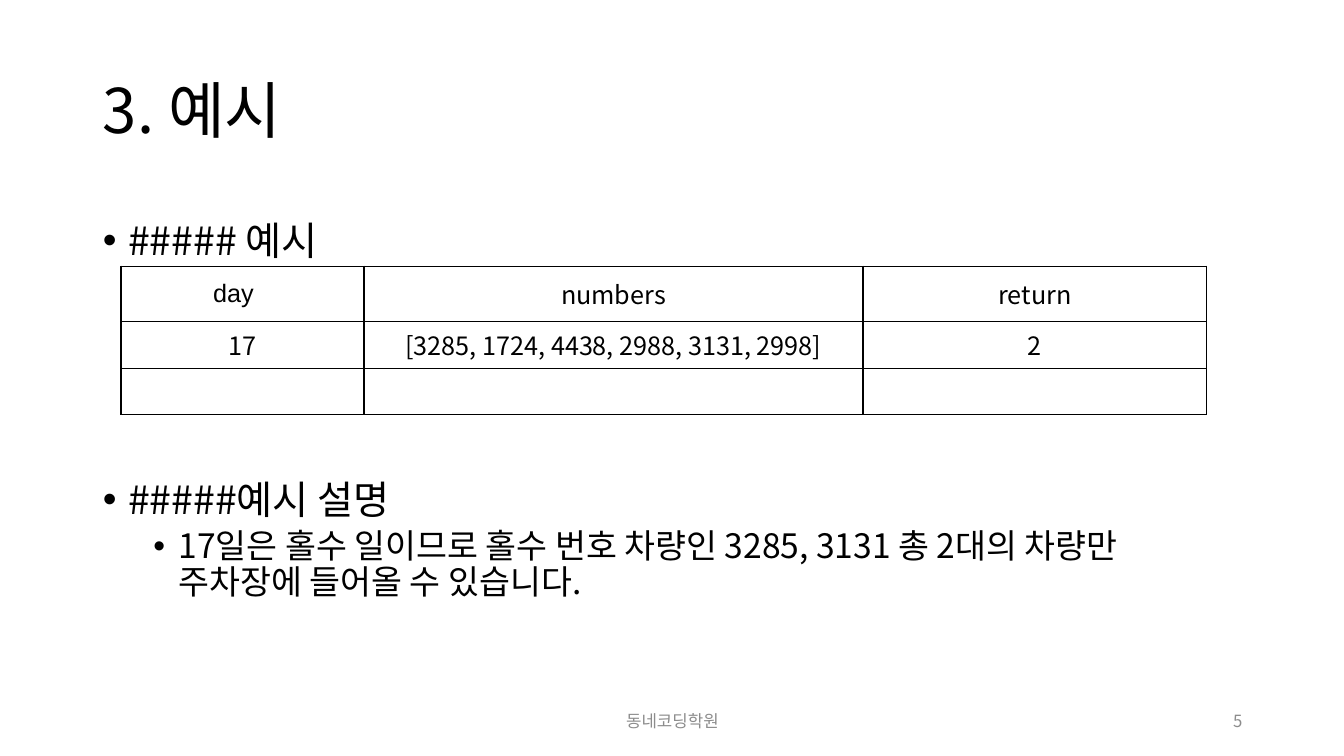
"""Build the example slide with its value table and explanation."""
from lxml.etree import SubElement
from pptx import Presentation
from pptx.dml.color import RGBColor
from pptx.enum.text import MSO_ANCHOR, MSO_AUTO_SIZE, PP_ALIGN
from pptx.oxml.ns import qn
from pptx.util import Inches, Pt

COLORS = {"text": "000000", "border": "000000", "footer": "8C8C8C"}
SANS = "Noto Sans CJK KR"
TITLE = "3. 예시"
BULLETS = [
    {"text": "##### 예시", "level": 0, "size": 28, "line": 1.2, "before": 0, "left": 0.25},
    {"text": "#####예시 설명", "level": 0, "size": 28, "line": 0.9, "before": 155, "left": 0.25},
    {"text": "17일은 홀수 일이므로 홀수 번호 차량인 3285, 3131 총 2대의 차량만 주차장에 들어올 수 있습니다.",
     "level": 1, "size": 24, "line": 0.9, "before": 5, "left": 0.75},
]
EXAMPLES = [
    ["day", "numbers", "return"],
    ["17", "[3285, 1724, 4438, 2988, 3131, 2998]", "2"],
    ["", "", ""],
]
COLUMN_WIDTHS = [2.41, 4.95, 3.41]
ROW_HEIGHTS = [0.55, 0.46, 0.46]
FOOTERS = [
    ("동네코딩학원", (4.42, 6.95, 4.5, 0.4), PP_ALIGN.CENTER),
    ("5", (9.42, 6.95, 3, 0.4), PP_ALIGN.RIGHT),
]


def apply(target, values):
    for name, value in values.items():
        setattr(target, name, value)


def place(shape, box):
    apply(shape, dict(zip(("left", "top", "width", "height"), map(Inches, box))))


def write(paragraph, text, size, color="text", face=SANS, **layout):
    apply(paragraph, layout)
    run = paragraph.add_run()
    run.text = text
    apply(run.font, {"size": Pt(size), "name": face})
    run.font.color.rgb = RGBColor.from_string(COLORS[color])
    SubElement(run.font._element, qn("a:ea"), typeface=face)


def add_bullet(paragraph, left):
    properties = paragraph._p.get_or_add_pPr()
    properties.set("marL", str(Inches(left)))
    properties.set("indent", str(Inches(-0.25)))
    SubElement(properties, qn("a:buFont"), typeface="Arial")
    SubElement(properties, qn("a:buChar"), char="•")


def add_borders(cell):
    properties = cell._tc.get_or_add_tcPr()
    for position, side in enumerate(("lnL", "lnR", "lnT", "lnB")):
        line = properties.makeelement(qn(f"a:{side}"), {"w": str(Pt(1))})
        SubElement(SubElement(line, qn("a:solidFill")), qn("a:srgbClr"), val=COLORS["border"])
        properties.insert(position, line)


def add_examples(slide):
    box = map(Inches, (1.2, 2.64, sum(COLUMN_WIDTHS), sum(ROW_HEIGHTS)))
    table = slide.shapes.add_table(len(EXAMPLES), len(COLUMN_WIDTHS), *box).table
    for column, width in zip(table.columns, COLUMN_WIDTHS):
        column.width = Inches(width)
    for row, height, values in zip(table.rows, ROW_HEIGHTS, EXAMPLES):
        row.height = Inches(height)
        for cell, value in zip(row.cells, values):
            cell.fill.background()
            add_borders(cell)
            cell.vertical_anchor = MSO_ANCHOR.MIDDLE
            if value:
                face = "Arial" if value == "day" else SANS
                write(cell.text_frame.paragraphs[0], value, 18, face=face, alignment=PP_ALIGN.CENTER)
    table.cell(0, 0).margin_right = Inches(0.28)


def main():
    deck = Presentation()
    apply(deck, {"slide_width": Inches(13.33), "slide_height": Inches(7.5)})
    slide = deck.slides.add_slide(deck.slide_layouts[1])

    title, body = slide.placeholders
    place(title, (0.92, 0.4, 11.5, 1.45))
    place(body, (0.92, 2, 11.5, 5.1))
    for holder, anchor in ((title, MSO_ANCHOR.MIDDLE), (body, MSO_ANCHOR.TOP)):
        apply(holder.text_frame, {"auto_size": MSO_AUTO_SIZE.NONE, "vertical_anchor": anchor})
    write(title.text_frame.paragraphs[0], TITLE, 44, alignment=PP_ALIGN.LEFT, line_spacing=0.9)

    for index, bullet in enumerate(BULLETS):
        paragraph = body.text_frame.add_paragraph() if index else body.text_frame.paragraphs[0]
        add_bullet(paragraph, bullet["left"])
        write(paragraph, bullet["text"], bullet["size"], level=bullet["level"],
              line_spacing=bullet["line"], space_before=Pt(bullet["before"]))

    add_examples(slide)

    for text, box, alignment in FOOTERS:
        footer = slide.shapes.add_textbox(*map(Inches, box)).text_frame
        apply(footer, {"word_wrap": True, "vertical_anchor": MSO_ANCHOR.MIDDLE})
        write(footer.paragraphs[0], text, 12, "footer", alignment=alignment)

    deck.save("out.pptx")


if __name__ == "__main__":
    main()
